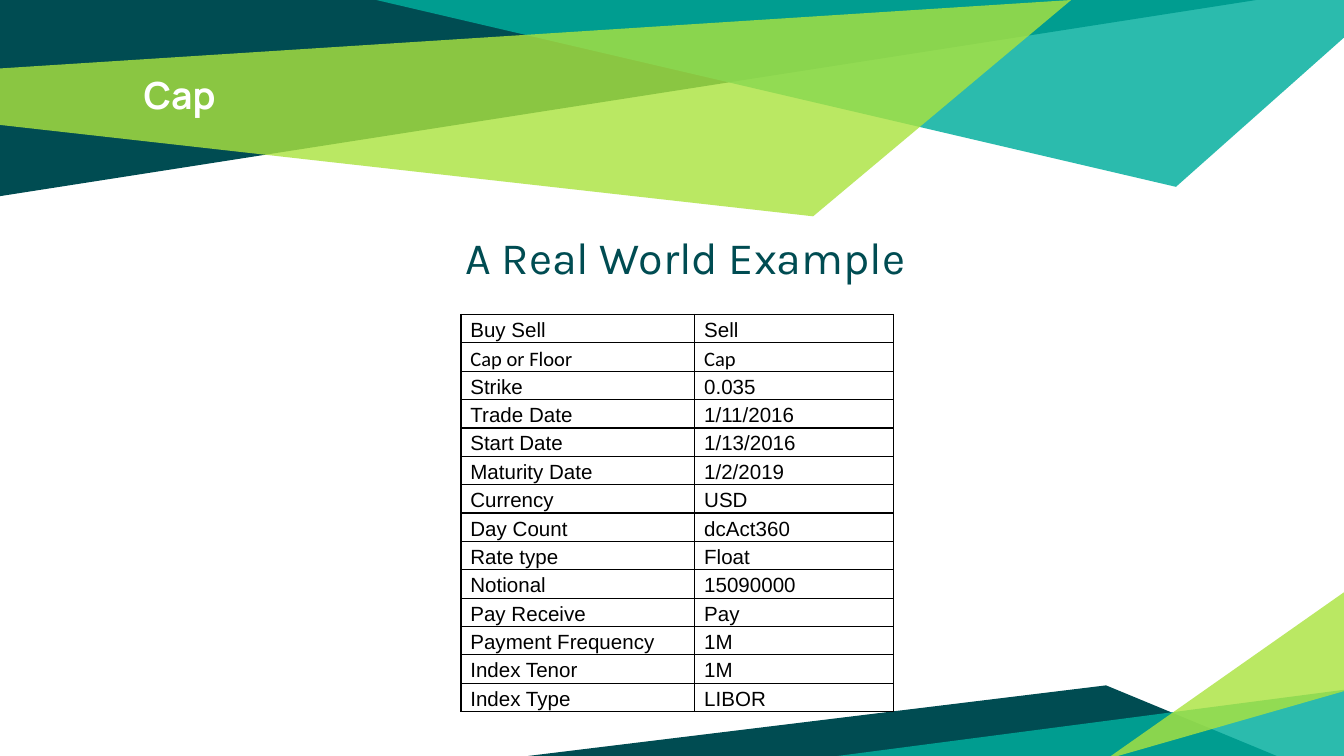
from lxml import etree
from pptx import Presentation
from pptx.dml.color import RGBColor
from pptx.enum.text import MSO_ANCHOR, PP_ALIGN
from pptx.oxml.ns import qn
from pptx.util import Inches, Pt

CENTER = PP_ALIGN.CENTER
LEFT = PP_ALIGN.LEFT
MIDDLE = MSO_ANCHOR.MIDDLE

DARK_TEAL = RGBColor(0x00, 0x4C, 0x52)
TEAL = RGBColor(0x00, 0xAE, 0x9D)
LIME = RGBColor(0xAB, 0xE3, 0x3F)
WHITE = RGBColor(0xFF, 0xFF, 0xFF)
BLACK = RGBColor(0x00, 0x00, 0x00)

# A 16:9 page
PAGE_WIDTH = 10
PAGE_HEIGHT = PAGE_WIDTH * 9 / 16

# Corner points, fill and opacity in percent, from back to front
RIBBONS = [
    ([(0, 0), (0, 1.46), (9.35, 0)], DARK_TEAL, 100),
    ([(2.8, 0), (8.75, 1.39), (10, 0.28), (10, 0)], TEAL, 83),
    ([(-0.01, 0.51), (0, 0.93), (6.05, 1.61), (7.97, 0)], LIME, 81),
    ([(3.93, PAGE_HEIGHT), (9.5, PAGE_HEIGHT), (8.23, 5.1)], DARK_TEAL, 100),
    ([(10.02, 5.13), (10.02, 5.65), (6.04, 5.65)], TEAL, 83),
    ([(10.01, 5.14), (10.01, 4.4), (8.23, 5.65)], LIME, 81),
]

TERMS = [
    ("Buy Sell", "Sell"),
    ("Cap or Floor", "Cap"),
    ("Strike", "0.035"),
    ("Trade Date", "1/11/2016"),
    ("Start Date", "1/13/2016"),
    ("Maturity Date", "1/2/2019"),
    ("Currency", "USD"),
    ("Day Count", "dcAct360"),
    ("Rate type", "Float"),
    ("Notional", "15090000"),
    ("Pay Receive", "Pay"),
    ("Payment Frequency", "1M"),
    ("Index Tenor", "1M"),
    ("Index Type", "LIBOR"),
]
CALIBRI_ROW = 1
COLUMN_WIDTHS = (1.74, 1.48)
TABLE_HEIGHT = 2.94


def add_ribbon(page, points, color, opacity):
    corners = [(Inches(x), Inches(y)) for x, y in points]
    builder = page.shapes.build_freeform(*corners[0])
    builder.add_line_segments(corners[1:], close=True)
    ribbon = builder.convert_to_shape()
    ribbon.shadow.inherit = False
    ribbon.line.fill.background()
    ribbon.fill.solid()
    ribbon.fill.fore_color.rgb = color
    if opacity < 100:
        color_xml = ribbon.fill._xPr.find(qn("a:solidFill"))[0]
        etree.SubElement(color_xml, qn("a:alpha"), val=str(opacity * 1000))


def style_font(para, name, size, color, bold=False):
    para.font.name = name
    para.font.size = Pt(size)
    para.font.color.rgb = color
    para.font.bold = bold


def add_heading(page, left, top, width, height, text, align):
    box = page.shapes.add_textbox(Inches(left), Inches(top), Inches(width), Inches(height))
    frame = box.text_frame
    frame.word_wrap = True
    frame.margin_left = frame.margin_right = Inches(0.1)
    frame.margin_top = frame.margin_bottom = Inches(0.1)
    para = frame.paragraphs[0]
    para.text = text
    para.alignment = align
    return para


def add_borders(cell):
    properties = cell._tc.get_or_add_tcPr()
    for position, side in enumerate(("a:lnL", "a:lnR", "a:lnT", "a:lnB")):
        line = etree.Element(qn(side), w=str(Pt(0.75)))
        fill = etree.SubElement(line, qn("a:solidFill"))
        etree.SubElement(fill, qn("a:srgbClr"), val=str(BLACK))
        properties.insert(position, line)


def fill_cell(cell, text, font_name):
    cell.fill.background()
    cell.vertical_anchor = MIDDLE
    cell.margin_left = cell.margin_right = Inches(0.07)
    cell.margin_top = cell.margin_bottom = 0
    para = cell.text_frame.paragraphs[0]
    para.text = text
    para.line_spacing = 1.15
    style_font(para, font_name, 11, BLACK)
    add_borders(cell)


def add_terms_table(page, left, top):
    frame = page.shapes.add_table(
        len(TERMS), len(COLUMN_WIDTHS), Inches(left), Inches(top),
        Inches(sum(COLUMN_WIDTHS)), Inches(TABLE_HEIGHT))
    table = frame.table
    table.first_row = False
    table.horz_banding = False
    for column, width in zip(table.columns, COLUMN_WIDTHS):
        column.width = Inches(width)
    for row_index, term in enumerate(TERMS):
        # Zero height lets each row fit its text
        table.rows[row_index].height = 0
        font_name = "Calibri" if row_index == CALIBRI_ROW else "Arial"
        for column_index, text in enumerate(term):
            fill_cell(table.cell(row_index, column_index), text, font_name)
    frame.height = Inches(TABLE_HEIGHT)


def main():
    deck = Presentation()
    deck.slide_width = Inches(PAGE_WIDTH)
    deck.slide_height = Inches(PAGE_HEIGHT)
    page = deck.slides.add_slide(deck.slide_layouts[6])

    # Background ribbons
    for points, color, opacity in RIBBONS:
        add_ribbon(page, points, color, opacity)

    # Title and subtitle
    title = add_heading(page, 0.97, 0.44, 8.06, 0.64, "Cap", LEFT)
    style_font(title, "Manrope", 20, WHITE, bold=True)
    subtitle = add_heading(page, 0.91, 1.61, 8.3, 3.64, "A Real World Example", CENTER)
    style_font(subtitle, "Karla", 24, DARK_TEAL)
    subtitle.space_before = Pt(6)
    subtitle._p.get_or_add_pPr().set("marL", str(Inches(0.08)))

    # Contract terms
    add_terms_table(page, 3.43, 2.34)

    deck.save("out.pptx")


if __name__ == "__main__":
    main()
